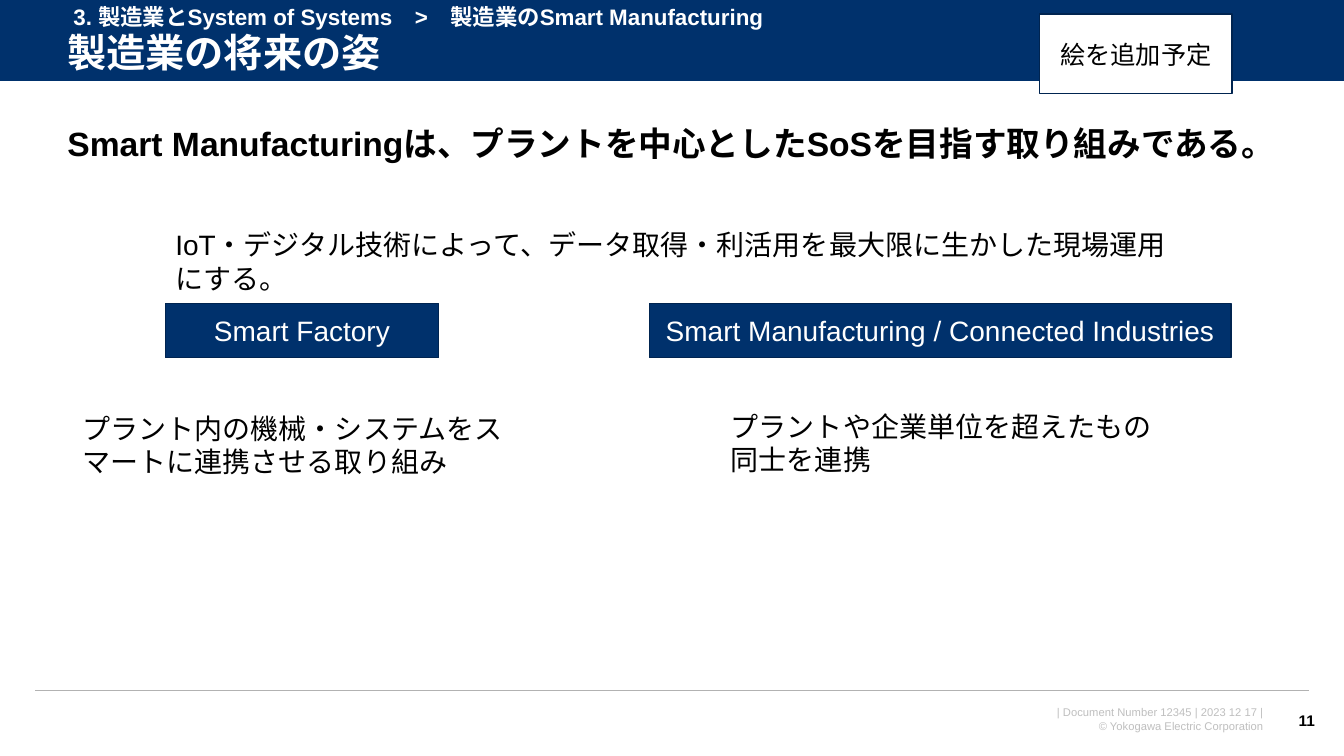
from lxml import etree
from pptx import Presentation
from pptx.dml.color import RGBColor
from pptx.enum import shapes, text
from pptx.oxml import ns
from pptx.util import Inches, Pt

HUES = {"navy": "00316C", "edge": "002450", "white": "FFFFFF",
        "black": "000000", "rule": "B2B2B2", "pale": "BFBFBF"}
LEFT, MID, RIGHT = text.PP_ALIGN.LEFT, text.PP_ALIGN.CENTER, text.PP_ALIGN.RIGHT


def hue(name):
    """Return a named colour."""
    return RGBColor.from_string(HUES[name])


def put(frame, lines, size, color="black", bold=False, align=LEFT, mid=False, wrap=True):
    """Fill a text frame and return its paragraphs."""
    frame.word_wrap = wrap
    frame.vertical_anchor = text.MSO_ANCHOR.MIDDLE if mid else text.MSO_ANCHOR.TOP
    frame.text = lines
    for para in frame.paragraphs:
        para.alignment = align
        font = para.font
        font.name, font.size, font.bold = "Arial", Pt(size), bold
        font.color.rgb = hue(color)
        base = para._p.pPr.find(ns.qn("a:defRPr"))
        etree.SubElement(base, ns.qn("a:ea"), typeface="Arial")
    return frame.paragraphs


def label(slide, spot, lines, size, **style):
    """Add a text box and return its paragraphs."""
    box = slide.shapes.add_textbox(*map(Inches, spot))
    return put(box.text_frame, lines, size, **style)


def block(slide, spot, fill="navy", edge=None):
    """Add a plain rectangle."""
    box = slide.shapes.add_shape(shapes.MSO_SHAPE.RECTANGLE, *map(Inches, spot))
    box.shadow.inherit = False
    box.fill.solid()
    box.fill.fore_color.rgb = hue(fill)
    if edge:
        box.line.color.rgb = hue(edge)
        box.line.width = Pt(1)
    else:
        box.line.fill.background()
    return box


def rule(slide, left, right, y, color, width):
    """Add a level line."""
    line = slide.shapes.add_connector(
        shapes.MSO_CONNECTOR.STRAIGHT, *map(Inches, (left, y, right, y)))
    line.line.color.rgb = hue(color)
    line.line.width = Pt(width)
    etree.SubElement(line._element.spPr, ns.qn("a:effectLst"))


def bullet(slide, spot, words):
    """Add the key message with a square bullet."""
    box = slide.shapes.add_textbox(*map(Inches, spot))
    para = box.text_frame.paragraphs[0]
    para.line_spacing = 0.9
    props = para._p.get_or_add_pPr()
    props.set("marL", str(Inches(0.31)))
    props.set("indent", str(Inches(-0.31)))
    tint = etree.SubElement(props, ns.qn("a:buClr"))
    etree.SubElement(tint, ns.qn("a:srgbClr"), val=HUES["navy"])
    etree.SubElement(props, ns.qn("a:buChar"), char="■")
    put(box.text_frame, words, 24, bold=True)


def main():
    """Build the slide."""
    deck = Presentation()
    deck.slide_width, deck.slide_height = Inches(13.33), Inches(7.5)
    slide = deck.slides.add_slide(deck.slide_layouts[6])

    foot = label(slide, (9.48, 6.95, 3.21, 0.37),
                 "| Document Number 12345 | 2023 12 17 |\n© Yokogawa Electric Corporation",
                 8, color="pale", align=RIGHT)
    foot[0]._p.pPr.set("marR", str(Inches(0.06)))
    block(slide, (0, 0, 13.33, 0.81))
    rule(slide, 0, 13.33, 0.81, "white", 0.75)
    rule(slide, 0.35, 12.98, 6.85, "rule", 1)
    label(slide, (12.7, 6.95, 0.44, 0.4), "11", 11, bold=True,
          align=RIGHT, mid=True, wrap=False)

    bullet(slide, (0.57, 1.17, 12.69, 0.57),
           "Smart Manufacturingは、プラントを中心としたSoSを目指す取り組みである。")
    title = label(slide, (0.57, 0.26, 12.47, 0.57), "製造業の将来の姿", 28,
                  color="white", bold=True, mid=True)
    title[0].line_spacing = 0.9
    label(slide, (0.63, -0.02, 7.47, 0.37),
          "3. 製造業とSystem of Systems　>　製造業のSmart Manufacturing",
          16, color="white", bold=True)

    for spot, words in (
            ((1.64, 2.21, 10.06, 0.44),
             "IoT・デジタル技術によって、データ取得・利活用を最大限に生かした現場運用にする。"),
            ((0.72, 4.03, 4.55, 0.77),
             "プラント内の機械・システムをスマートに連携させる取り組み"),
            ((7.15, 4.01, 4.55, 0.77),
             "プラントや企業単位を超えたもの同士を連携")):
        label(slide, spot, words, 20)

    for spot, words, size, fill, ink in (
            ((1.64, 3.01, 2.71, 0.54), "Smart Factory", 20, "navy", "white"),
            ((6.44, 3.01, 5.77, 0.54), "Smart Manufacturing / Connected Industries",
             20, "navy", "white"),
            ((10.31, 0.14, 1.91, 0.79), "絵を追加予定", 18, "white", "black")):
        box = block(slide, spot, fill, "edge")
        put(box.text_frame, words, size, color=ink, align=MID, mid=True)

    deck.save("out.pptx")


if __name__ == "__main__":
    main()
